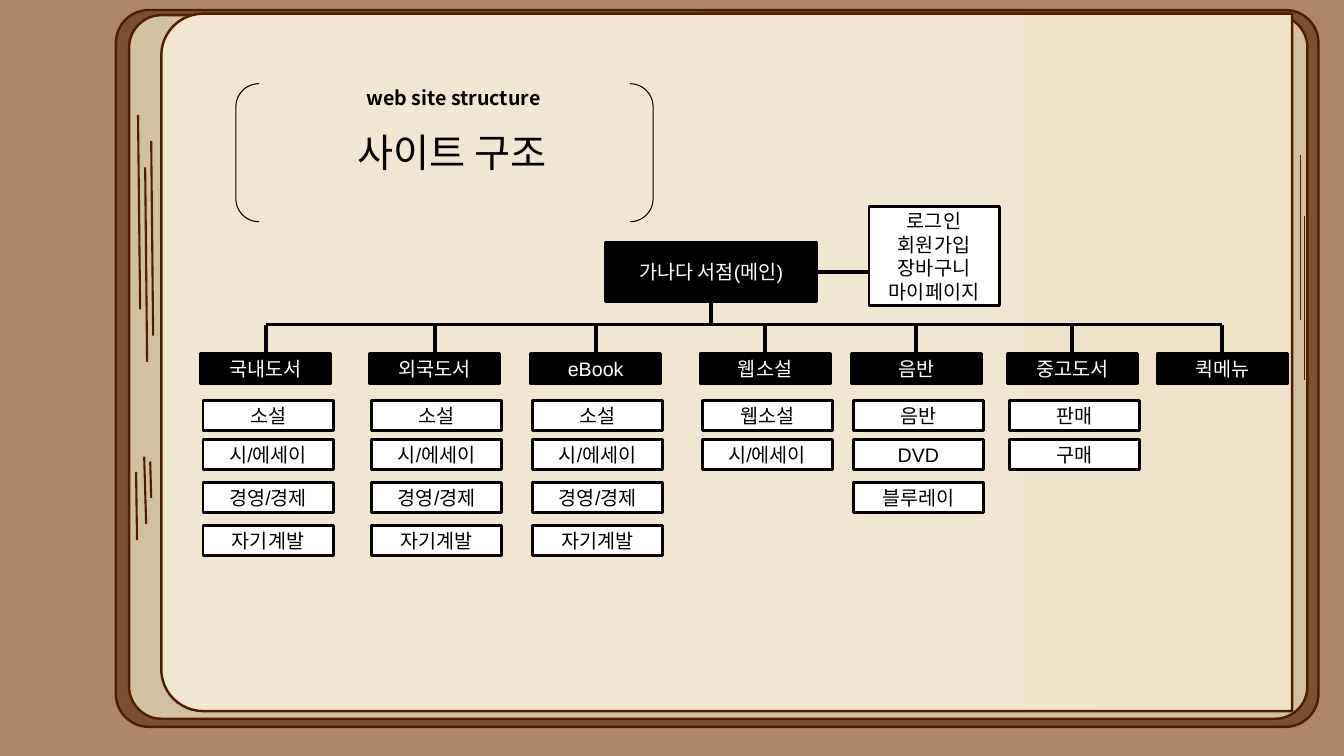
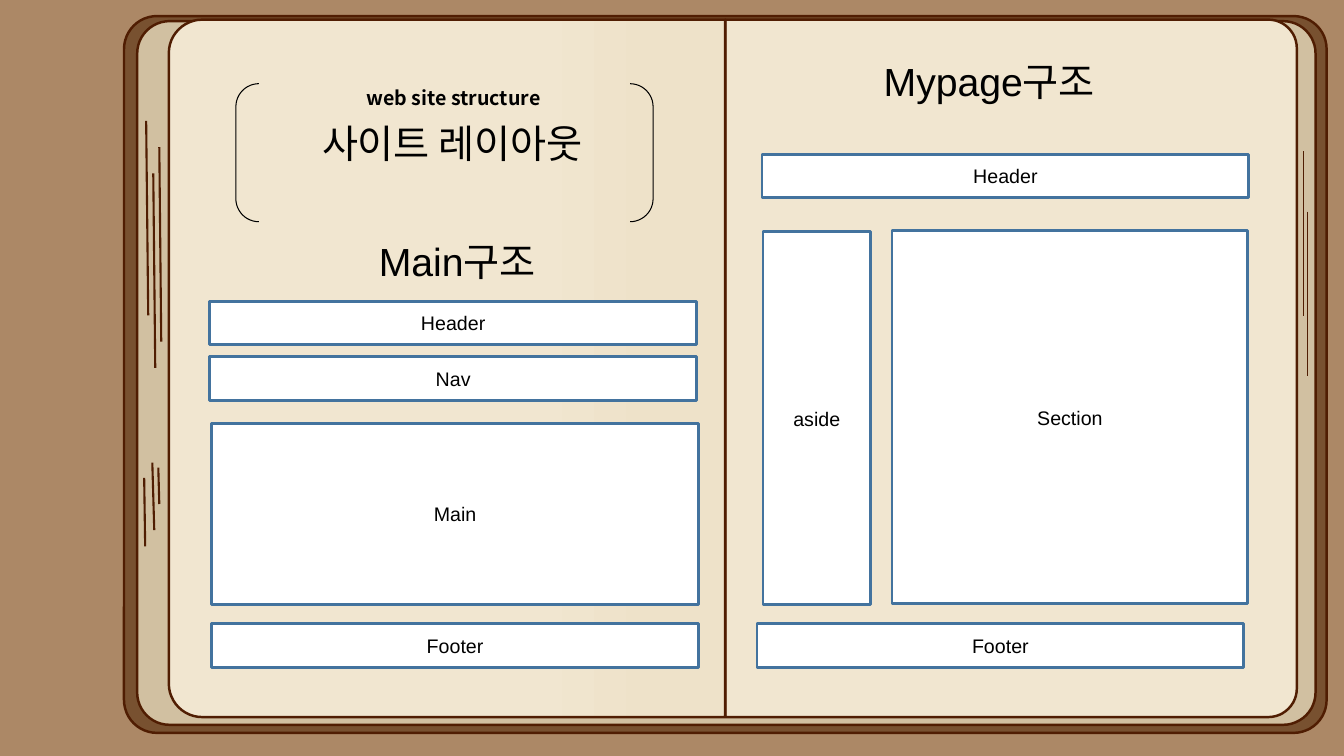
from lxml import etree
from pptx import Presentation
from pptx.dml.color import RGBColor
from pptx.enum.shapes import MSO_CONNECTOR, MSO_SHAPE
from pptx.enum.text import MSO_ANCHOR, MSO_AUTO_SIZE, PP_ALIGN
from pptx.oxml.ns import qn
from pptx.util import Pt

RECT = MSO_SHAPE.RECTANGLE
ROUNDED = MSO_SHAPE.ROUNDED_RECTANGLE
TOP_ROUNDED = MSO_SHAPE.ROUND_2_SAME_RECTANGLE
BRACKETS = MSO_SHAPE.DOUBLE_BRACKET
STRAIGHT = MSO_CONNECTOR.STRAIGHT
CENTER = PP_ALIGN.CENTER
TOP, MIDDLE = MSO_ANCHOR.TOP, MSO_ANCHOR.MIDDLE
NO_AUTOFIT = MSO_AUTO_SIZE.NONE
SIDE_TOP, SIDE_BOTTOM, SIDE_RIGHT = 0, 2, 3

DESK, COVER, EDGE = "AC8866", "785130", "D1C0A1"
PAPER, SHADE, INK = "F1E6D0", "EEE2C9", "501D02"
BLACK, WHITE, BLUE = "000000", "FFFFFF", "43739E"
BODY_FONT, CAPTION_FONT = "Arial", "Noto Sans CJK KR"

LEFT_STROKES = [
    (15.8, 74.9, 17.3, 213.8), (25.2, 93.6, 26.6, 232.6),
    (20.9, 112.3, 22.3, 251.3), (14.4, 329.8, 15.1, 378.7),
    (24.5, 322.6, 25.2, 348.5), (20.2, 319, 21.6, 367.2),
]

COLUMN_WIDTH, COLUMN_TOP, CELL_HEIGHT = 93, 252.7, 21.6
ROW_OFFSETS = [33.3, 61.3, 92, 122.5]
BOOK_ROWS = ["소설", "시/에세이", "경영/경제", "자기계발"]
MENU = [
    (143.5, "국내도서", BOOK_ROWS),
    (264, "외국도서", BOOK_ROWS),
    (379, "eBook", BOOK_ROWS),
    (500, "웹소설", ["웹소설", "시/에세이"]),
    (608, "음반", ["음반", "DVD", "블루레이"]),
    (719.5, "중고도서", ["판매", "구매"]),
    (826.5, "퀵메뉴", []),
]


def rgb(value):
    return RGBColor.from_string(value)


def add_outlined(slide, kind, box, fill, line, weight):
    shape = slide.shapes.add_shape(kind, *map(Pt, box))
    shape.shadow.inherit = False
    if fill:
        shape.fill.solid()
        shape.fill.fore_color.rgb = rgb(fill)
    else:
        shape.fill.background()
    shape.line.color.rgb = rgb(line)
    shape.line.width = Pt(weight)
    return shape


def write(shape, text, size, color=BLACK, font=BODY_FONT, bold=False, anchor=TOP):
    frame = shape.text_frame
    frame.text = text
    frame.word_wrap = True
    frame.auto_size = NO_AUTOFIT
    frame.vertical_anchor = anchor
    for paragraph in frame.paragraphs:
        paragraph.alignment = CENTER
        paragraph.font.name = font
        paragraph.font.size = Pt(size)
        paragraph.font.bold = bold
        paragraph.font.color.rgb = rgb(color)


def add_block(slide, box, text, fill=WHITE, line=BLACK):
    block = add_outlined(slide, RECT, box, fill, line, 2)
    write(block, text, 14, WHITE if fill == BLACK else BLACK, anchor=MIDDLE)
    return block


def add_textbox(slide, box, text, size, **style):
    write(slide.shapes.add_textbox(*map(Pt, box)), text, size, **style)


def add_line(slide, ends, color, weight):
    line = slide.shapes.add_connector(STRAIGHT, *map(Pt, ends))
    line.line.color.rgb = rgb(color)
    line.line.width = Pt(weight)
    etree.SubElement(line.element.spPr, qn("a:effectLst"))
    return line


def add_page(slide, box, rotation, corner, shaded):
    left, top, width, height = box
    upright = (left + (width - height) / 2, top + (height - width) / 2, height, width)
    page = add_outlined(slide, TOP_ROUNDED, upright, PAPER, INK, 1.75)
    page.adjustments[0] = corner
    page.adjustments[1] = 0
    page.rotation = rotation
    if shaded:
        page.fill.gradient()
        page.fill.gradient_angle = 270
        stops = zip(page.fill.gradient_stops, (0.65, 0.88), (PAPER, SHADE))
        for stop, position, color in stops:
            stop.position = position
            stop.color.rgb = rgb(color)


def add_book(slide, left, top, pages, right_strokes):
    for inset_x, inset_y, width, height, fill in [
        (0, 0, 859, 512, COVER), (9.4, 3.6, 841.7, 502.6, EDGE),
    ]:
        box = (left + inset_x, top + inset_y, width, height)
        add_outlined(slide, ROUNDED, box, fill, INK, 1.75).adjustments[0] = 0.046
    for offset, width, rotation, corner, shaded in pages:
        box = (left + offset, top + 2.5, width, 498.2)
        add_page(slide, box, rotation, corner, shaded)
    for x1, y1, x2, y2 in LEFT_STROKES:
        add_line(slide, (left + x1, top + y1, left + x2, top + y2), INK, 1.5)
    stroke_x, stroke_y = right_strokes
    for step_x, step_y in [(0, 0), (2.9, 43.2)]:
        x, y = left + stroke_x + step_x, top + stroke_y + step_y
        add_line(slide, (x, y, x, y + 117.5), INK, 1)


def add_heading(slide, title, title_drop, left=168.5, top=59.8):
    add_outlined(slide, BRACKETS, (left, top, 298, 98.6), None, BLACK, 0.75)
    heading = slide.shapes.title
    heading.element.getparent().append(heading.element)
    heading.left, heading.top = Pt(left + 53.5), Pt(top + title_drop)
    heading.width, heading.height = Pt(202.3), Pt(70.6)
    write(heading, title, 28)
    add_textbox(slide, (left + 39.6, top - 2.2, 231.8, 51.1), "web site structure",
                14, font=CAPTION_FONT, bold=True)


def add_menu_column(slide, left, bus_y, name, rows):
    head = add_block(slide, (left, COLUMN_TOP, COLUMN_WIDTH, CELL_HEIGHT), name, BLACK)
    for offset, row in zip(ROW_OFFSETS, rows):
        add_block(slide, (left + 1.5, COLUMN_TOP + offset, COLUMN_WIDTH, CELL_HEIGHT), row)
    center = left + COLUMN_WIDTH / 2
    drop = add_line(slide, (center, bus_y, center, COLUMN_TOP), BLACK, 3)
    drop.end_connect(head, SIDE_TOP)


def add_site_tree(slide, left, top):
    bus_y = top + 59
    main = add_block(slide, (left, top, 150.5, 42.5), "가나다 서점(메인)", BLACK)
    account = (left + 188, top - 25.2, COLUMN_WIDTH, 70.6)
    add_block(slide, account, "로그인\n회원가입\n장바구니\n마이페이지")
    middle_x, middle_y = left + 75.25, top + 21.25
    trunk = add_line(slide, (middle_x, top + 42.5, middle_x, bus_y), BLACK, 3)
    trunk.begin_connect(main, SIDE_BOTTOM)
    branch = add_line(slide, (left + 150.5, middle_y, account[0], middle_y), BLACK, 3)
    branch.begin_connect(main, SIDE_RIGHT)
    first, last = (MENU[i][0] + COLUMN_WIDTH / 2 for i in (0, -1))
    add_line(slide, (first, bus_y, last, bus_y), BLACK, 2.25)
    for column_left, name, rows in MENU:
        add_menu_column(slide, column_left, bus_y, name, rows)


def add_wireframe(slide, left, top, title, title_shift, blocks):
    add_textbox(slide, (left + title_shift, top, 202.3, 70.6), title, 28)
    for x, y, width, height, name in blocks:
        add_block(slide, (left + x, top + y, width, height), name, line=BLUE)


def build_structure(slide):
    add_book(slide, 82.8, 7.2, [(32.4, 807.8, 270, 0.06, True)], (846, 103.7))
    add_heading(slide, "사이트 구조", 28)
    add_site_tree(slide, 432.7, 172.8)


def build_layout(slide):
    pages = [(429.5, 408.2, 90, 0.05, False), (32, 397.4, 270, 0.06, True)]
    add_book(slide, 88.6, 11.5, pages, (842.4, 96.5))
    add_heading(slide, "사이트 레이아웃", 21.6)
    add_wireframe(slide, 149.8, 165.6, "Main구조", 75.6, [
        (0, 49.7, 347.8, 31, "Header"),
        (0, 89.3, 347.8, 31, "Nav"),
        (1.4, 136.8, 347.8, 129.6, "Main"),
        (1.4, 280, 347.8, 31, "Footer"),
    ])
    add_wireframe(slide, 544.3, 37.4, "Mypage구조", 61.2, [
        (0, 72.7, 347.8, 31, "Header"),
        (0.7, 128.2, 77, 266.4, "aside"),
        (92.9, 127.4, 254.2, 266.4, "Section"),
        (-3.6, 408.2, 347.8, 31, "Footer"),
    ])


def main():
    deck = Presentation()
    deck.slide_width, deck.slide_height = Pt(960), Pt(540)
    desk = deck.slide_master.background.fill
    desk.solid()
    desk.fore_color.rgb = rgb(DESK)
    title_only = deck.slide_layouts[5]
    for build in (build_structure, build_layout):
        build(deck.slides.add_slide(title_only))
    deck.save("out.pptx")


if __name__ == "__main__":
    main()
